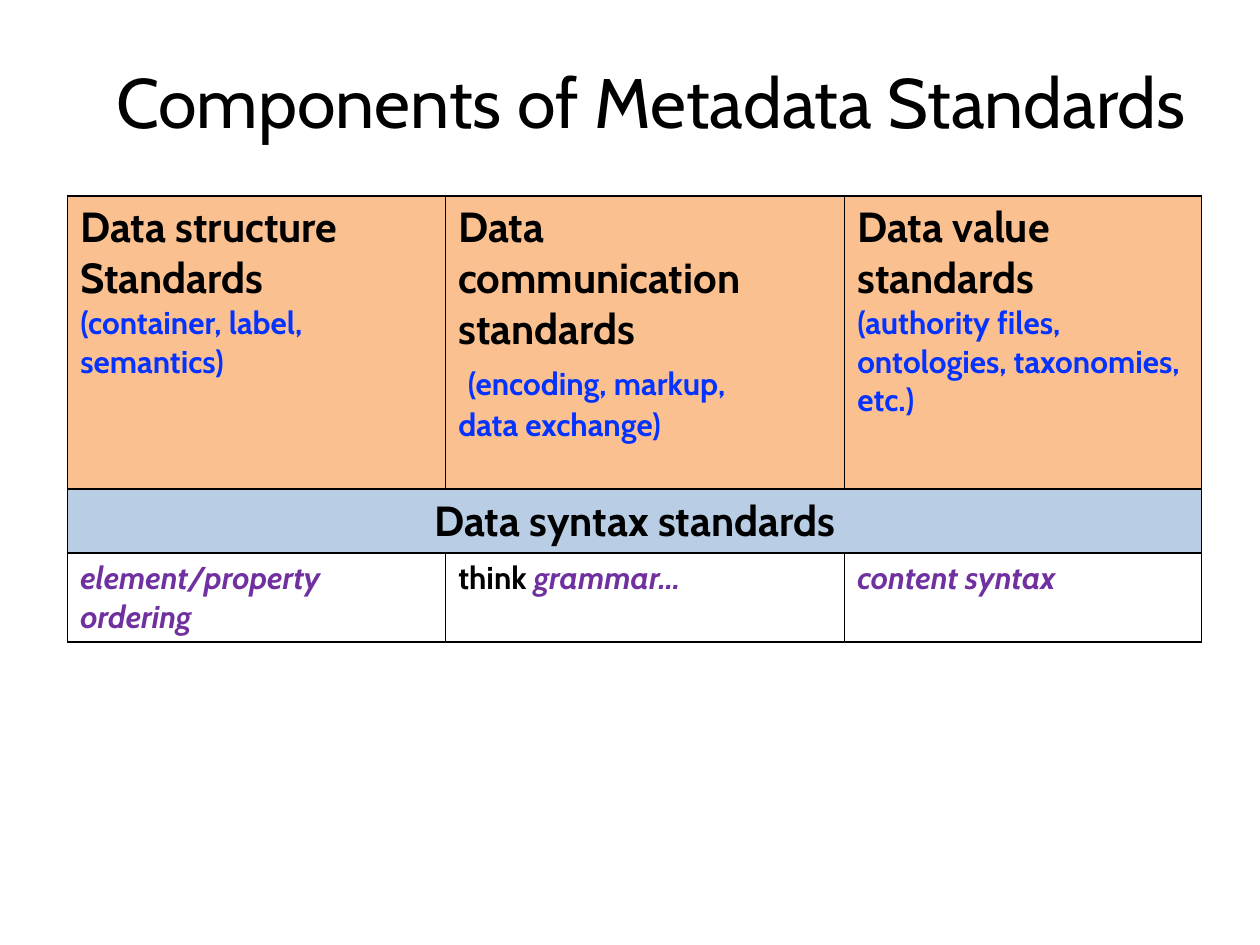
"""Builds a slide with a table of the components of metadata standards."""
from lxml.etree import SubElement
from pptx import Presentation
from pptx.dml.color import RGBColor
from pptx.enum.text import MSO_ANCHOR as Anchor, PP_ALIGN as Align
from pptx.oxml.ns import qn
from pptx.util import Pt

BLACK = RGBColor(0x00, 0x00, 0x00)
BLUE = RGBColor(0x04, 0x32, 0xFF)
PURPLE = RGBColor(0x70, 0x30, 0xA0)
ORANGE = RGBColor(0xFA, 0xC0, 0x90)
PALE_BLUE = RGBColor(0xB9, 0xCD, 0xE5)
WHITE = RGBColor(0xFF, 0xFF, 0xFF)


class SlideBuilder:
    def __init__(self, slide, font_name="Cabin"):
        self.slide = slide
        self.font_name = font_name

    def style(self, font, size, color, bold=True, italic=False):
        font.name = self.font_name
        font.size = Pt(size)
        font.bold = bold
        font.italic = italic
        font.color.rgb = color

    def title(self, text, left, top, width, height):
        box = self.slide.shapes.add_textbox(Pt(left), Pt(top), Pt(width), Pt(height))
        box.text_frame.word_wrap = True
        paragraph = box.text_frame.paragraphs[0]
        paragraph.text = text
        paragraph.alignment = Align.CENTER
        self.style(paragraph.font, 40, BLACK, bold=False)

    def paragraph(self, paragraph, runs, align=Align.LEFT):
        paragraph.alignment = align
        for text, *_ in runs:
            paragraph.add_run().text = text
        if len(runs) == 1:
            self.style(paragraph.font, *runs[0][1:])
        else:
            for run, (_, *look) in zip(paragraph.runs, runs):
                self.style(run.font, *look)

    def cell(self, cell, paragraphs, fill, align=Align.LEFT, anchor=Anchor.TOP):
        frame = cell.text_frame
        for index, runs in enumerate(paragraphs):
            target = frame.add_paragraph() if index else frame.paragraphs[0]
            self.paragraph(target, runs, align)
        cell.vertical_anchor = anchor
        self.borders(cell)
        cell.fill.solid()
        cell.fill.fore_color.rgb = fill

    def borders(self, cell, color=BLACK, width=1):
        properties = cell._tc.get_or_add_tcPr()
        for side in ("a:lnL", "a:lnR", "a:lnT", "a:lnB"):
            line = SubElement(properties, qn(side), w=str(Pt(width)))
            fill = SubElement(line, qn("a:solidFill"))
            SubElement(fill, qn("a:srgbClr"), val=str(color))

    def table(self, left, top, widths, heights):
        frame = self.slide.shapes.add_table(
            len(heights), len(widths), Pt(left), Pt(top), Pt(sum(widths)), Pt(sum(heights)))
        table = frame.table
        table.first_row = table.horz_banding = False
        for column, width in zip(table.columns, widths):
            column.width = Pt(width)
        for row, height in zip(table.rows, heights):
            row.height = Pt(height)
        return table


def heading(text):
    return [(text, 24, BLACK)]


def detail(text):
    return [(text, 18, BLUE)]


def example(text):
    return (text, 18, PURPLE, True, True)


STANDARDS = [
    [heading("Data structure"), heading("Standards"),
     detail("(container, label, semantics)")],
    [heading("Data communication standards"),
     [(" ", 24, BLUE), ("(encoding, markup,", 18, BLUE)],
     detail("data exchange)")],
    [heading("Data value standards"),
     detail("(authority files, ontologies, taxonomies, etc.)")],
]
EXAMPLES = [
    [[example("element/property ordering")]],
    [[("think ", 18, BLACK), example("grammar…")]],
    [[example("content syntax")]],
]


def main():
    presentation = Presentation()
    presentation.slide_width, presentation.slide_height = Pt(720), Pt(540)
    builder = SlideBuilder(presentation.slides.add_slide(presentation.slide_layouts[6]))
    builder.title("Components of Metadata Standards", 48, 30, 648, 90)

    table = builder.table(38.7, 112, [216, 228, 204], [167.5, 36.5, 51])
    for row, contents, fill in ((0, STANDARDS, ORANGE), (2, EXAMPLES, WHITE)):
        for column, paragraphs in enumerate(contents):
            builder.cell(table.cell(row, column), paragraphs, fill)

    table.cell(1, 0).merge(table.cell(1, 2))
    for column in range(3):
        syntax = [heading("Data syntax standards")] if column == 0 else []
        builder.cell(table.cell(1, column), syntax, PALE_BLUE, Align.CENTER, Anchor.MIDDLE)

    presentation.save("out.pptx")


if __name__ == "__main__":
    main()
